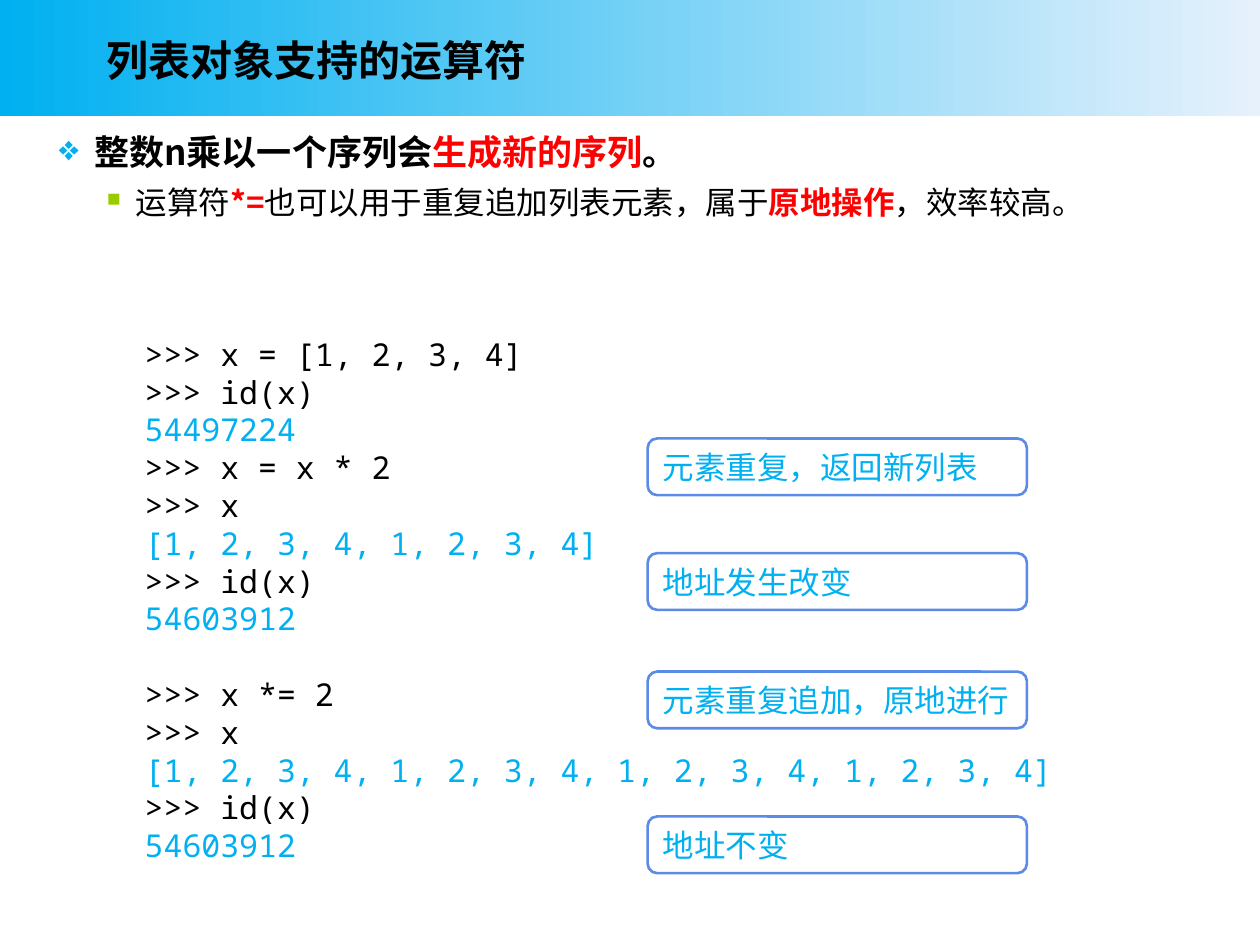
import dataclasses

import lxml.etree
import pptx
import pptx.dml.color
import pptx.enum.shapes
import pptx.enum.text
import pptx.oxml.ns
import pptx.util

Inches = pptx.util.Inches
Pt = pptx.util.Pt
qn = pptx.oxml.ns.qn


@dataclasses.dataclass(frozen=True)
class Theme:
    sky: str = "00B0F0"
    pale: str = "E6F1FC"
    ink: str = "000000"
    red: str = "FF0000"
    lime: str = "99CC00"
    edge: str = "5C8AE7"
    white: str = "FFFFFF"
    sans: str = "Noto Sans CJK SC"
    mono: str = "Noto Sans Mono"
    head: float = 24
    lead: float = 20
    text: float = 18
    first: float = 34.4
    pitch: float = 21.6
    loose: float = 1.27


THEME = Theme()


def tint(code):
    return pptx.dml.color.RGBColor.from_string(code)


def add_run(para, text, size, color, bold=False, face=THEME.sans):
    run = para.add_run()
    run.text = text
    font = run.font
    font.size = Pt(size)
    font.bold = bold
    font.color.rgb = tint(color)
    font.name = face
    east = lxml.etree.SubElement(run._r.get_or_add_rPr(), qn("a:ea"))
    east.set("typeface", THEME.sans)


def add_box(slide, box):
    frame = slide.shapes.add_textbox(*map(Inches, box)).text_frame
    frame.word_wrap = True
    return frame


def add_shape(slide, kind, box):
    shape = slide.shapes.add_shape(kind, *map(Inches, box))
    shape.shadow.inherit = False
    return shape


def next_para(frame, index):
    return frame.add_paragraph() if index else frame.paragraphs[0]


def set_bullet(para, mark, color, scale, left, hang):
    props = para._p.get_or_add_pPr()
    props.set("marL", str(Inches(left)))
    props.set("indent", str(-Inches(hang)))
    paint = lxml.etree.SubElement(props, qn("a:buClr"))
    lxml.etree.SubElement(paint, qn("a:srgbClr")).set("val", color)
    lxml.etree.SubElement(props, qn("a:buSzPct")).set("val", str(scale * 1000))
    lxml.etree.SubElement(props, qn("a:buChar")).set("char", mark)


def add_banner(slide, box, title):
    left, top, width, height = box
    band = add_shape(slide, pptx.enum.shapes.MSO_SHAPE.RECTANGLE, box)
    band.line.fill.background()
    band.fill.gradient()
    band.fill.gradient_angle = 0
    for stop, color in zip(band.fill.gradient_stops, (THEME.sky, THEME.pale)):
        stop.color.rgb = tint(color)
    frame = add_box(slide, (left + 0.75, top + 0.14, 8.14, 0.67))
    frame.vertical_anchor = pptx.enum.text.MSO_ANCHOR.MIDDLE
    add_run(frame.paragraphs[0], title, THEME.head, THEME.ink, True)


def add_points(slide, box, points):
    styles = (
        (THEME.lead, "❖", THEME.sky, 100, 0.28, 0.28),
        (THEME.text, "■", THEME.lime, 60, 0.61, 0.23),
    )
    frame = add_box(slide, box)
    for index, (level, parts) in enumerate(points):
        para = next_para(frame, index)
        size, *bullet = styles[level]
        set_bullet(para, *bullet)
        para.level = level
        para.line_spacing = THEME.loose
        for text, hot in parts:
            color = THEME.red if hot else THEME.ink
            add_run(para, text, size, color, hot or level == 0)


def add_code(slide, box, blocks):
    frame = add_box(slide, box)
    count = 0
    for block in blocks:
        for row, line in enumerate(block):
            para = next_para(frame, count)
            para.line_spacing = Pt(THEME.pitch if count else THEME.first)
            if count and row == 0:
                para.space_before = Pt(THEME.pitch)
            color = THEME.ink if line.startswith(">>>") else THEME.sky
            add_run(para, line, THEME.text, color, face=THEME.mono)
            count += 1


def add_note(slide, box, text):
    note = add_shape(slide, pptx.enum.shapes.MSO_SHAPE.ROUNDED_RECTANGLE, box)
    note.fill.solid()
    note.fill.fore_color.rgb = tint(THEME.white)
    note.line.color.rgb = tint(THEME.edge)
    note.line.width = Pt(1.5)
    frame = note.text_frame
    frame.word_wrap = True
    frame.margin_right = 0
    frame.vertical_anchor = pptx.enum.text.MSO_ANCHOR.MIDDLE
    para = frame.paragraphs[0]
    para.alignment = pptx.enum.text.PP_ALIGN.LEFT
    add_run(para, text, THEME.text, THEME.sky, face=THEME.mono)


def main():
    deck = pptx.Presentation()
    deck.slide_width, deck.slide_height = Inches(10), Inches(7.5)
    slide = deck.slides.add_slide(deck.slide_layouts[6])
    add_banner(slide, (0, 0, 10, 0.92), "列表对象支持的运算符")
    add_points(slide, (0.37, 0.9, 9.37, 1.1), (
        (0, (("整数n乘以一个序列会", False), ("生成新的序列", True), ("。", False))),
        (1, (("运算符", False), ("*=", True),
             ("也可以用于重复追加列表元素，属于", False),
             ("原地操作", True), ("，效率较高。", False))),
    ))
    add_code(slide, (1.05, 2.43, 8.65, 4.49), (
        (">>> x = [1, 2, 3, 4]", ">>> id(x)", "54497224",
         ">>> x = x * 2", ">>> x", "[1, 2, 3, 4, 1, 2, 3, 4]",
         ">>> id(x)", "54603912"),
        (">>> x *= 2", ">>> x",
         "[1, 2, 3, 4, 1, 2, 3, 4, 1, 2, 3, 4, 1, 2, 3, 4]",
         ">>> id(x)", "54603912"),
    ))
    notes = (
        (3.48, "元素重复，返回新列表"),
        (4.39, "地址发生改变"),
        (5.33, "元素重复追加，原地进行"),
        (6.48, "地址不变"),
    )
    for top, text in notes:
        add_note(slide, (5.14, top, 3.01, 0.45), text)
    deck.save("out.pptx")


if __name__ == "__main__":
    main()
